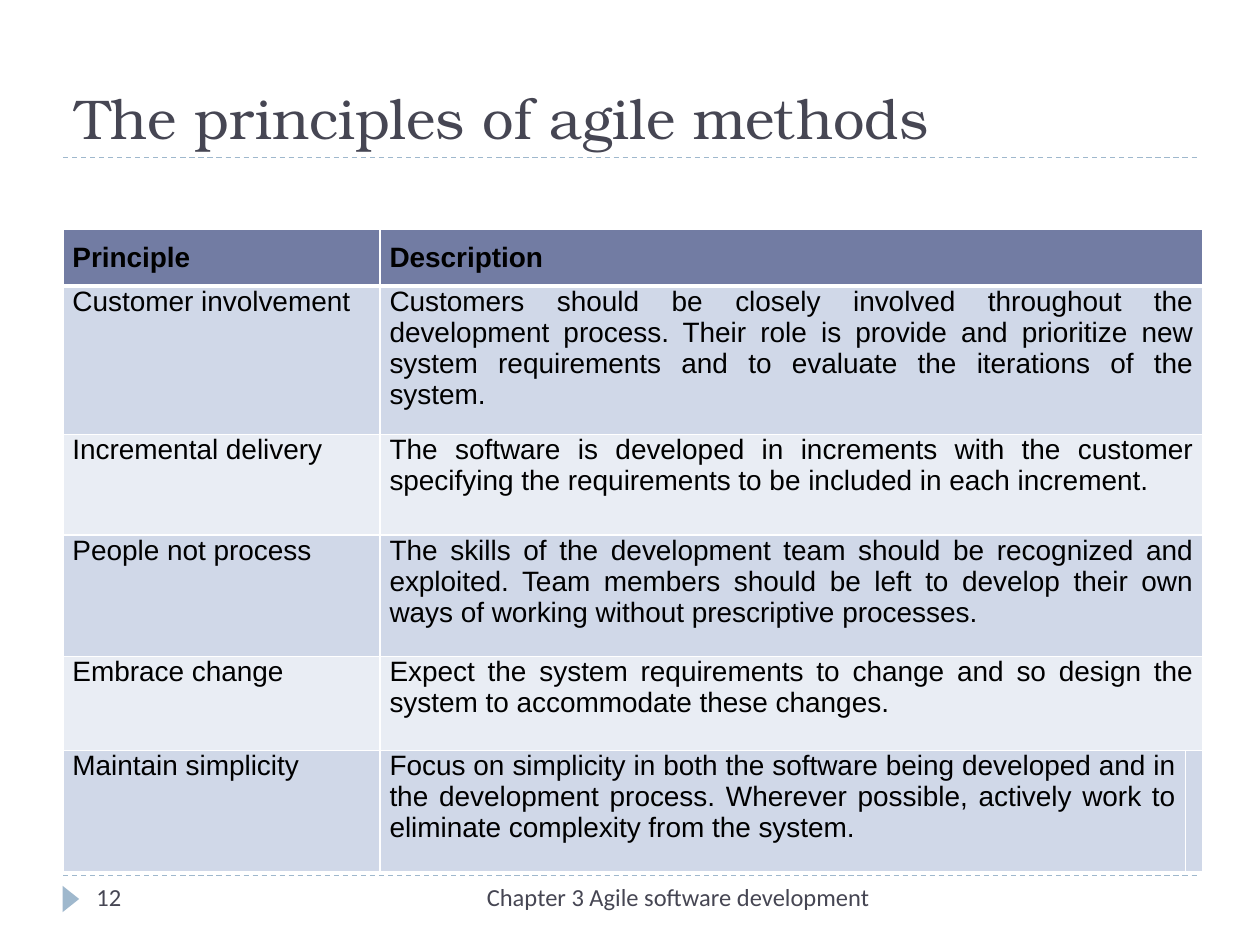
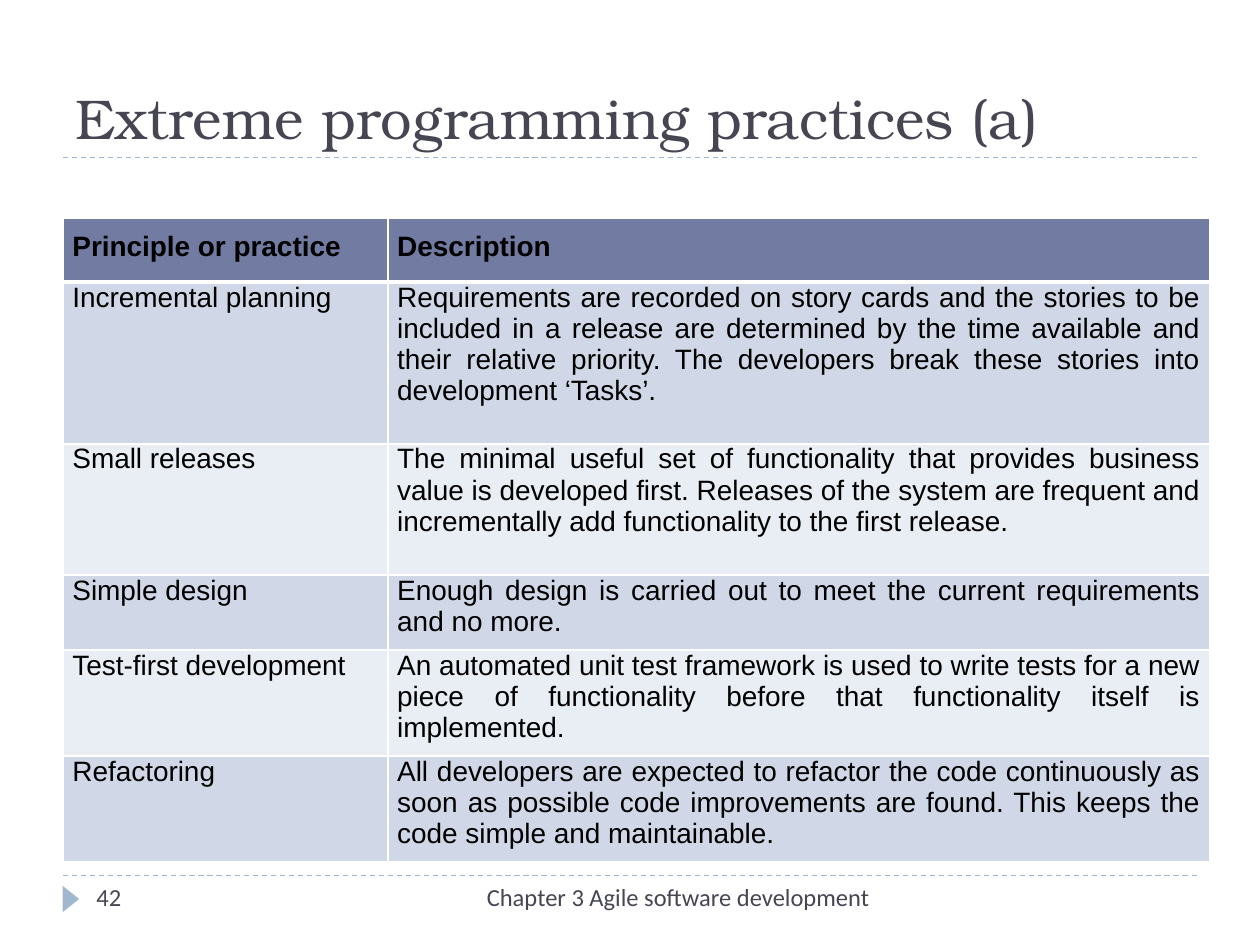
"""Build two slides of tables on agile principles and extreme programming practices."""
from lxml import etree
from pptx import Presentation
from pptx.dml.color import RGBColor
from pptx.enum.dml import MSO_LINE
from pptx.enum.shapes import MSO_CONNECTOR, MSO_SHAPE
from pptx.enum.text import MSO_ANCHOR, MSO_AUTO_SIZE, PP_ALIGN
from pptx.oxml.ns import qn
from pptx.util import Pt

STRAIGHT = MSO_CONNECTOR.STRAIGHT
TRIANGLE = MSO_SHAPE.ISOSCELES_TRIANGLE
DASH = MSO_LINE.DASH
BOTTOM, TOP = MSO_ANCHOR.BOTTOM, MSO_ANCHOR.TOP
NO_FIT = MSO_AUTO_SIZE.NONE
LEFT, RIGHT, JUSTIFY = PP_ALIGN.LEFT, PP_ALIGN.RIGHT, PP_ALIGN.JUSTIFY

WHITE = RGBColor(0xFF, 0xFF, 0xFF)
BLACK = RGBColor(0x00, 0x00, 0x00)
INK = RGBColor(0x46, 0x46, 0x53)
ACCENT = RGBColor(0x9F, 0xB8, 0xCD)
HEADER_FILL = RGBColor(0x72, 0x7C, 0xA3)
BAND_FILLS = (RGBColor(0xE9, 0xED, 0xF4), RGBColor(0xD0, 0xD8, 0xE8))

TITLE_FONT, TABLE_FONT, FOOTER_FONT = "TeX Gyre Bonum", "Arial", "Calibri"
FOOTER = "Chapter 3 Agile software development"
MARGIN = 36
RULE_RIGHT = 684
TITLE_RULE, FOOTER_RULE = 90, 500.4

SLIDES = [
    {
        "title": "The principles of agile methods",
        "number": "12",
        "top": 131.2,
        "columns": (181.2, 460.2, 10),
        "rows": [
            (31.6, "Principle", "Description"),
            (85, "Customer involvement",
             "Customers should be closely involved throughout the development process. "
             "Their role is provide and prioritize new system requirements and to "
             "evaluate the iterations of the system."),
            (57.4, "Incremental delivery",
             "The software is developed in increments with the customer specifying the "
             "requirements to be included in each increment."),
            (69.4, "People not process",
             "The skills of the development team should be recognized and exploited. "
             "Team members should be left to develop their own ways of working without "
             "prescriptive processes."),
            (53.6, "Embrace change",
             "Expect the system requirements to change and so design the system to "
             "accommodate these changes."),
            (69.2, "Maintain simplicity",
             "Focus on simplicity in both the software being developed and in the "
             "development process. Wherever possible, actively work to eliminate "
             "complexity from the system."),
        ],
    },
    {
        "title": "Extreme programming practices (a)",
        "number": "42",
        "top": 124.8,
        "columns": (185.6, 469.6),
        "rows": [
            (36.4, "Principle or practice", "Description"),
            (92.4, "Incremental planning",
             "Requirements are recorded on story cards and the stories to be included in "
             "a release are determined by the time available and their relative "
             "priority. The developers break these stories into development ‘Tasks’."),
            (75, "Small releases",
             "The minimal useful set of functionality that provides business value is "
             "developed first. Releases of the system are frequent and incrementally "
             "add functionality to the first release."),
            (41, "Simple design",
             "Enough design is carried out to meet the current requirements and no more."),
            (58.4, "Test-first development",
             "An automated unit test framework is used to write tests for a new piece of "
             "functionality before that functionality itself is implemented."),
            (58.4, "Refactoring",
             "All developers are expected to refactor the code continuously as soon as "
             "possible code improvements are found. This keeps the code simple and "
             "maintainable."),
        ],
    },
]


def write(frame, text, font, size, color, align, bold=False):
    """Put one formatted run into the first paragraph of a text frame."""
    frame.word_wrap = True
    para = frame.paragraphs[0]
    para.alignment = align
    span = para.add_run()
    span.text = text
    span.font.name, span.font.size, span.font.bold = font, Pt(size), bold
    span.font.color.rgb = color


def add_border(cell, side, width):
    """Draw a white line along one side of a table cell."""
    line = etree.SubElement(cell._tc.get_or_add_tcPr(), qn(f"a:ln{side}"), w=str(Pt(width)))
    fill = etree.SubElement(line, qn("a:solidFill"))
    etree.SubElement(fill, qn("a:srgbClr"), val=str(WHITE))


deck = Presentation()
deck.slide_width, deck.slide_height = Pt(720), Pt(540)

for content in SLIDES:
    page = deck.slides.add_slide(deck.slide_layouts[5])
    shapes = page.shapes

    for height in (FOOTER_RULE, TITLE_RULE):
        rule = shapes.add_connector(STRAIGHT, Pt(MARGIN), Pt(height), Pt(RULE_RIGHT), Pt(height))
        rule.line.color.rgb = ACCENT
        rule.line.width = Pt(0.75)
        rule.line.dash_style = DASH
        etree.SubElement(rule._element.spPr, qn("a:effectLst"))

    marker = shapes.add_shape(TRIANGLE, Pt(33), Pt(509), Pt(15), Pt(9.4))
    marker.rotation = 90
    marker.shadow.inherit = False
    marker.fill.solid()
    marker.fill.fore_color.rgb = ACCENT
    marker.line.fill.background()

    title = shapes.title
    title.left, title.top, title.width, title.height = Pt(MARGIN), Pt(12), Pt(648), Pt(78)
    title.text_frame.auto_size = NO_FIT
    title.text_frame.vertical_anchor = BOTTOM
    write(title.text_frame, content["title"], TITLE_FONT, 32, INK, LEFT)

    columns, rows = content["columns"], content["rows"]
    heights = [row[0] for row in rows]
    table = shapes.add_table(len(rows), len(columns), Pt(MARGIN), Pt(content["top"]),
                             Pt(sum(columns)), Pt(sum(heights))).table
    table.first_row = table.horz_banding = False
    for column, width in zip(table.columns, columns):
        column.width = Pt(width)
    for index, (height, *texts) in enumerate(rows):
        is_header = index == 0
        table.rows[index].height = Pt(height)
        for position in range(len(columns)):
            cell = table.cell(index, position)
            sides = {"L": 1, "R": 1, "T": 3 if index == 1 else 1, "B": 3 if is_header else 1}
            for side, line_width in sides.items():
                add_border(cell, side, line_width)
            cell.fill.solid()
            cell.fill.fore_color.rgb = HEADER_FILL if is_header else BAND_FILLS[index % 2]
            cell.margin_left = cell.margin_right = Pt(5.4 if position < 2 else 0)
            cell.margin_top, cell.margin_bottom = Pt(7.2 if is_header else 0), Pt(7.2)
            if position < 2:
                write(cell.text_frame, texts[position], TABLE_FONT, 16, BLACK, JUSTIFY, is_header)
        if len(columns) == 3 and index < len(rows) - 1:
            table.cell(index, 1).merge(table.cell(index, 2))

    for left, width, text, align in ((48, 156, content["number"], LEFT),
                                     (228, 276, FOOTER, RIGHT)):
        box = shapes.add_textbox(Pt(left), Pt(FOOTER_RULE), Pt(width), Pt(28.8))
        box.text_frame.vertical_anchor = TOP
        write(box.text_frame, text, FOOTER_FONT, 14, INK, align)

deck.save("out.pptx")
